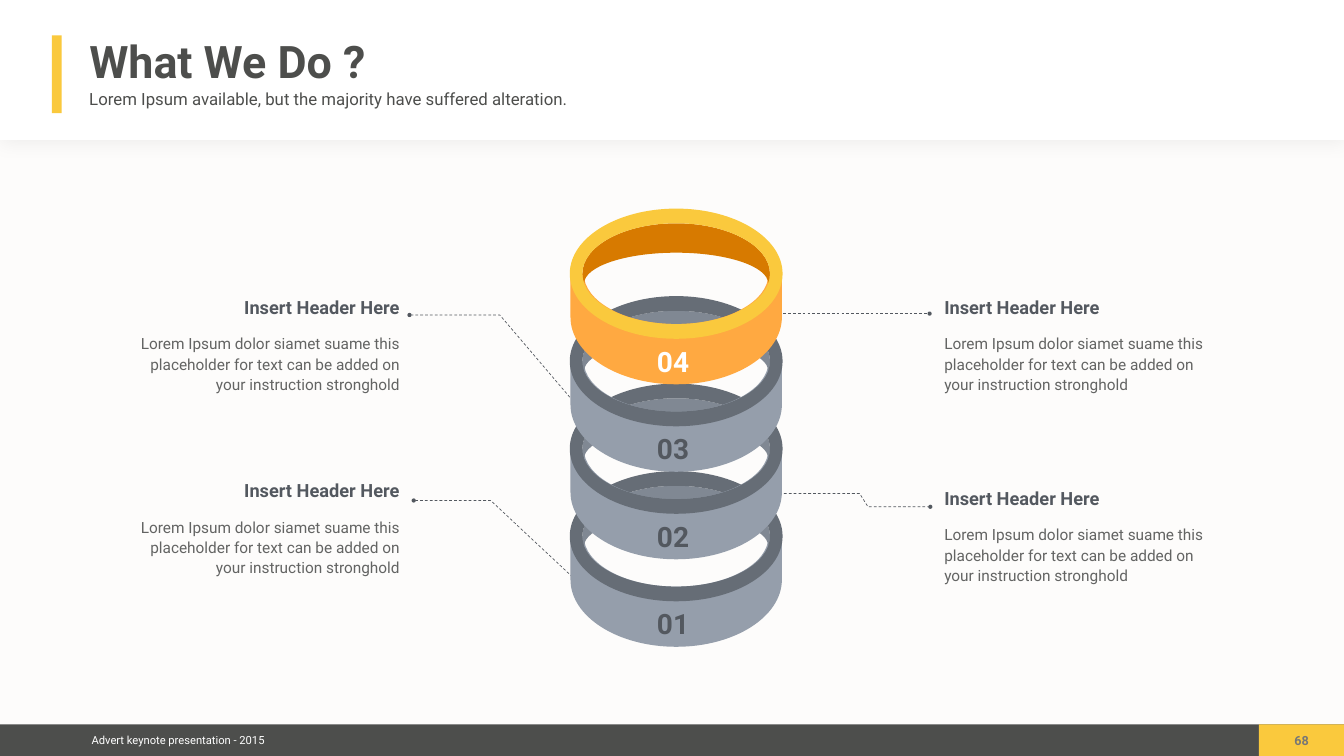
"""Build the "What We Do ?" slide with four stacked rings and their callouts."""
from dataclasses import dataclass
from math import asin, ceil, cos, pi, sin, tan

from lxml import etree
from pptx import Presentation
from pptx.dml.color import RGBColor
from pptx.enum.dml import MSO_LINE
from pptx.enum.shapes import MSO_CONNECTOR, MSO_SHAPE
from pptx.enum.text import MSO_ANCHOR, PP_ALIGN
from pptx.oxml.ns import qn
from pptx.util import Pt

LEFT, CENTER, RIGHT = PP_ALIGN.LEFT, PP_ALIGN.CENTER, PP_ALIGN.RIGHT
TOP, MIDDLE = MSO_ANCHOR.TOP, MSO_ANCHOR.MIDDLE
RECTANGLE, STRAIGHT, DASH = MSO_SHAPE.RECTANGLE, MSO_CONNECTOR.STRAIGHT, MSO_LINE.DASH


@dataclass(frozen=True)
class Theme:
    font: str = "Roboto"
    background: str = "FDFCFB"
    white: str = "FFFFFF"
    dark: str = "4D4E4C"
    accent: str = "FAC93D"
    slate: str = "53585F"
    body: str = "636463"
    page: str = "777776"
    gray_ring: tuple = ("959EAB", "808893", "666D76")
    gold_ring: tuple = ("FFA941", "D77A00", "FAC93D")
    title_size: int = 64
    number_size: int = 40
    header_size: int = 26
    subtitle_size: int = 24
    body_size: int = 22
    page_size: int = 18
    footer_size: int = 16


def arc(cx, cy, rx, ry, start, end):
    count = ceil(abs(end - start) / (pi / 2) - 0.01)
    step = (end - start) / count
    pull = 4 / 3 * tan(step / 4)
    unit = [(cos(start), sin(start))]
    for i in range(count):
        a, b = start + i * step, start + (i + 1) * step
        unit += [(cos(a) - pull * sin(a), sin(a) + pull * cos(a)),
                 (cos(b) + pull * sin(b), sin(b) - pull * cos(b)), (cos(b), sin(b))]
    return [(cx + rx * x, cy + ry * y) for x, y in unit]


def straight(x1, y1, x2, y2):
    return [(x1 + (x2 - x1) * i / 3, y1 + (y2 - y1) * i / 3) for i in range(4)]


def join(first, *others):
    return first + [point for piece in others for point in piece[1:]]


def write_text(frame, text, *, theme, size, color, bold=False, align=LEFT,
               anchor=TOP, inset=0, wrap=True, spacing=None):
    frame.word_wrap = wrap
    frame.vertical_anchor = anchor
    frame.margin_left = frame.margin_right = Pt(inset)
    frame.margin_top = frame.margin_bottom = Pt(inset)
    paragraph = frame.paragraphs[0]
    paragraph.alignment = align
    paragraph.line_spacing = spacing
    run = paragraph.add_run()
    run.text = text
    run.font.name = theme.font
    run.font.size = Pt(size)
    run.font.bold = bold
    run.font.color.rgb = RGBColor.from_string(color)


class SlideBuilder:
    def __init__(self, slide, theme):
        self.slide = slide
        self.theme = theme
        fill = slide.background.fill
        fill.solid()
        fill.fore_color.rgb = RGBColor.from_string(theme.background)

    def paint(self, shape, color):
        shape.shadow.inherit = False
        shape.fill.solid()
        shape.fill.fore_color.rgb = RGBColor.from_string(color)
        shape.line.fill.background()

    def panel(self, x, y, width, height, color):
        panel = self.slide.shapes.add_shape(RECTANGLE, Pt(x), Pt(y), Pt(width), Pt(height))
        self.paint(panel, color)
        return panel

    def soft_shadow(self, panel):
        effects = panel._element.spPr.find(qn("a:effectLst"))
        shadow = etree.SubElement(effects, qn("a:outerShdw"), blurRad=str(Pt(26)),
                                  dist=str(Pt(2)), dir="5400000", rotWithShape="0")
        color = etree.SubElement(shadow, qn("a:srgbClr"), val="000000")
        etree.SubElement(color, qn("a:alpha"), val="5000")

    def text(self, x, y, width, height, text, **style):
        box = self.slide.shapes.add_textbox(Pt(x), Pt(y), Pt(width), Pt(height))
        write_text(box.text_frame, text, theme=self.theme, **style)

    def outline(self, shapes, *contours, closed=True):
        points = [[(Pt(x), Pt(y)) for x, y in contour] for contour in contours]
        builder = shapes.build_freeform(*points[0][0])
        builder.add_line_segments(points[0][1:], close=closed)
        for contour in points[1:]:
            builder.move_to(*contour[0])
            builder.add_line_segments(contour[1:], close=closed)
        return builder.convert_to_shape()

    def curve(self, shapes, contours, color):
        shape = self.outline(shapes, *contours)
        outline = next(shape._element.iter(qn("a:path")))
        segments = outline.findall(qn("a:lnTo"))
        for i in range(0, len(segments), 3):
            bezier = etree.Element(qn("a:cubicBezTo"))
            segments[i].addprevious(bezier)
            for segment in segments[i:i + 3]:
                bezier.append(segment[0])
                outline.remove(segment)
        self.paint(shape, color)

    def leader(self, *points):
        shapes = self.slide.shapes
        if len(points) == 2:
            (x1, y1), (x2, y2) = points
            leader = shapes.add_connector(STRAIGHT, Pt(x1), Pt(y1), Pt(x2), Pt(y2))
            etree.SubElement(leader._element.spPr, qn("a:effectLst"))
        else:
            leader = self.outline(shapes, points, closed=False)
            leader.shadow.inherit = False
            leader.fill.background()
        leader.line.color.rgb = RGBColor.from_string(self.theme.slate)
        leader.line.width = Pt(1)
        leader.line.dash_style = DASH
        etree.SubElement(leader.line._get_or_add_ln(), qn("a:tailEnd"), type="oval")

    def ring(self, cx, cy, colors, number, number_color):
        shapes = self.slide.shapes.add_group_shape().shapes
        outer, inner_rx, inner_ry, lip, depth = 151, 134, 72, 14, 62
        edge, tilt = inner_rx - 2, asin(lip / inner_ry)
        band = join(arc(cx, cy + depth, outer, 96, 0, pi),
                    straight(cx - outer, cy + depth, cx - outer, cy),
                    straight(cx - outer, cy, cx - edge, cy),
                    arc(cx, cy, edge, inner_ry, pi, 0),
                    straight(cx + edge, cy, cx + outer, cy))
        inside = join(arc(cx, cy, inner_rx, inner_ry, pi - tilt, pi),
                      arc(cx, cy, inner_rx, inner_ry, pi, 2 * pi),
                      arc(cx, cy, inner_rx, inner_ry, 0, tilt),
                      arc(cx, cy + lip, inner_rx * cos(tilt), 44, 2 * pi, pi))
        rim = [arc(cx, cy, 152, 93, 0, 2 * pi), arc(cx, cy, inner_rx, inner_ry, 2 * pi, 0)]
        for contours, color in zip(([band], [inside], rim), colors):
            self.curve(shapes, contours, color)
        self.text(cx - 32, cy + 94, 55, 61, number, size=self.theme.number_size,
                  color=number_color, bold=True, align=CENTER, anchor=MIDDLE, wrap=False)

    def callout(self, edge, y, align):
        for top, width, height, text, style in (
                (y, 269, 52, "Insert Header Here",
                 dict(size=self.theme.header_size, color=self.theme.slate, bold=True)),
                (y + 52, 383, 110, "Lorem Ipsum dolor siamet suame this placeholder for text "
                 "can be added on your instruction stronghold",
                 dict(size=self.theme.body_size, color=self.theme.body, spacing=1.1))):
            x = edge - width if align == RIGHT else edge
            self.text(x, top, width, height, text, align=align, **style)


def main():
    theme = Theme()
    deck = Presentation()
    deck.slide_width, deck.slide_height = Pt(1920), Pt(1080)
    page = SlideBuilder(deck.slides.add_slide(deck.slide_layouts[6]), theme)

    page.soft_shadow(page.panel(0, 0, 1920, 200, theme.white))
    page.panel(0, 1035, 1920, 45, theme.dark)
    page.text(123, 1041, 263, 32, "Advert keynote presentation - 2015", size=theme.footer_size,
              color=theme.white, align=CENTER, anchor=MIDDLE, inset=6, wrap=False)
    page.panel(1798.5, 1035, 121.5, 45, theme.accent)
    page.panel(74, 50.5, 14, 111, theme.accent)
    page.text(121.5, 39, 409, 95, "What We Do ?", size=theme.title_size, color=theme.dark,
              bold=True, anchor=MIDDLE, inset=6, wrap=False)
    page.text(121.5, 120, 773, 43,
              "Lorem Ipsum available, but the majority have suffered alteration.",
              size=theme.subtitle_size, color=theme.dark, inset=6)
    page.text(1843, 1041, 33, 35, "68", size=theme.page_size, color=theme.page,
              bold=True, align=CENTER, inset=6, wrap=False)

    for edge, y, align in ((1349, 423, LEFT), (1349, 696, LEFT),
                           (571, 423, RIGHT), (571, 685, RIGHT)):
        page.callout(edge, y, align)

    page.leader((823, 829), (701, 715), (591, 715))
    page.leader((1106, 705), (1228, 705), (1240, 724), (1329, 724))
    page.leader((823, 578), (714, 450), (585, 450))
    page.leader((1105, 448), (1328, 448))

    gray, gold = (theme.gray_ring, theme.slate), (theme.gold_ring, theme.white)
    for index, (colors, number_color) in enumerate((gray, gray, gray, gold)):
        page.ring(966, 766 - 125 * index, colors, f"{index + 1:02d}", number_color)

    deck.save("out.pptx")


if __name__ == "__main__":
    main()
